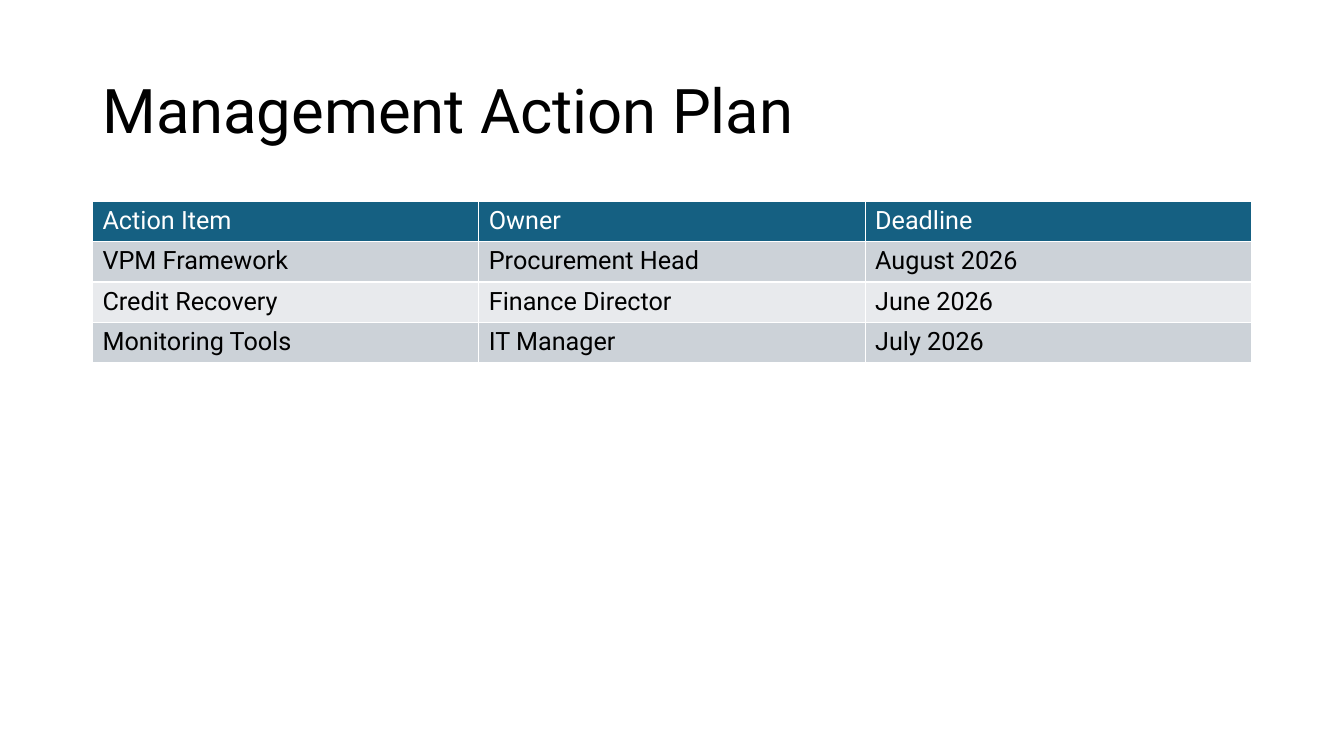
from dataclasses import dataclass

from pptx import Presentation
from pptx.dml.color import RGBColor as RGB
from pptx.enum.text import MSO_ANCHOR as Anchor
from pptx.util import Cm, Pt


@dataclass(frozen=True)
class Theme:
    font: str = "Roboto"
    title_size: int = 44
    table_size: int = 18
    text: str = "000000"
    header_text: str = "FFFFFF"
    header_fill: str = "156082"
    bands: tuple = ("CCD2D8", "E8EAED")


THEME = Theme()

ACTIONS = [
    ("Action Item", "Owner", "Deadline"),
    ("VPM Framework", "Procurement Head", "August 2026"),
    ("Credit Recovery", "Finance Director", "June 2026"),
    ("Monitoring Tools", "IT Manager", "July 2026"),
]


def add_run(p, text, size, color):
    r = p.add_run()
    r.text = text
    r.font.name = THEME.font
    r.font.size = Pt(size)
    r.font.bold = False
    r.font.color.rgb = RGB.from_string(color)


def add_title(slide, text, left, top, width, height):
    tf = slide.shapes.add_textbox(left, top, width, height).text_frame
    tf.word_wrap = True
    tf.vertical_anchor = Anchor.MIDDLE
    p = tf.paragraphs[0]
    p.line_spacing = 0.9
    add_run(p, text, THEME.title_size, THEME.text)


def add_action_table(slide, rows, left, top, width, row_height):
    """Header row over banded rows; the table style draws the white borders."""
    table = slide.shapes.add_table(
        len(rows), len(rows[0]), left, top, width, row_height * len(rows)
    ).table
    for i, row in enumerate(rows):
        if i == 0:
            fill, color = THEME.header_fill, THEME.header_text
        else:
            fill, color = THEME.bands[(i - 1) % 2], THEME.text
        for j, text in enumerate(row):
            cell = table.cell(i, j)
            cell.fill.solid()
            cell.fill.fore_color.rgb = RGB.from_string(fill)
            add_run(cell.text_frame.paragraphs[0], text, THEME.table_size, color)


def main():
    prs = Presentation()
    prs.slide_width, prs.slide_height = Cm(33.87), Cm(19.05)
    slide = prs.slides.add_slide(prs.slide_layouts[6])
    left, width = Cm(2.33), Cm(29.21)
    add_title(slide, "Management Action Plan", left, Cm(1.01), width, Cm(3.68))
    add_action_table(slide, ACTIONS, left, Cm(5.07), width, Cm(0.99))
    prs.save("out.pptx")


if __name__ == "__main__":
    main()
